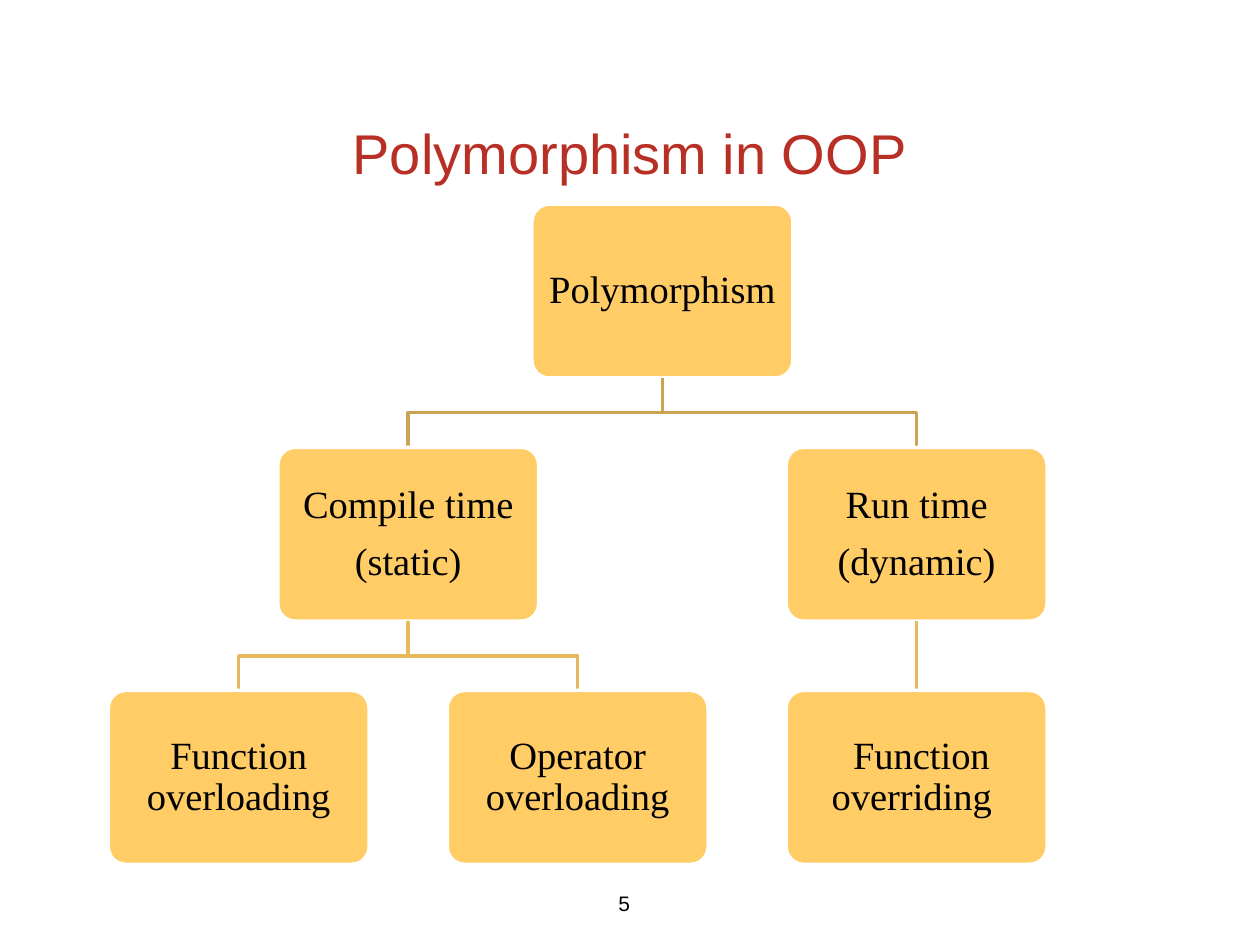
"""Build the slide with the polymorphism tree: one root, two kinds, three techniques."""
import pptx
import pptx.dml.color
import pptx.enum.shapes
import pptx.enum.text
import pptx.oxml.ns
import pptx.util

Inches, Pt = pptx.util.Inches, pptx.util.Pt
Align, Anchor = pptx.enum.text.PP_ALIGN, pptx.enum.text.MSO_ANCHOR

COLORS = {"title": "B82F25", "box": "FFCC66", "border": "FFFFFF", "text": "000000",
          "upper": "CCA352", "lower": "E7B95D"}
LEFT, TOP = 0.86, 1.62
BOX_WIDTH, BOX_HEIGHT = 2.07, 1.38
COLUMN_STEP, ROW_STEP = 2.69, 1.93
GAP = ROW_STEP - BOX_HEIGHT


def rgb(name):
    return pptx.dml.color.RGBColor.from_string(COLORS[name])


def write(shape, lines, font, color, frame_format, paragraph_format):
    frame = shape.text_frame
    frame.text = "\n".join(lines)
    for key, value in frame_format.items():
        setattr(frame, key, value)
    for paragraph in frame.paragraphs:
        for key, value in paragraph_format.items():
            setattr(paragraph, key, value)
        for run in paragraph.runs:
            for key, value in font.items():
                setattr(run.font, key, value)
            run.font.color.rgb = rgb(color)


deck = pptx.Presentation()
deck.slide_width, deck.slide_height = Inches(10), Inches(7.5)
slide = deck.slides.add_slide(deck.slide_layouts[5])
shapes = slide.shapes

centred = {"alignment": Align.CENTER}
heading = shapes.title
heading_place = {"left": 0.75, "top": 0.83, "width": 8.5, "height": 0.75}
for side, length in heading_place.items():
    setattr(heading, side, Inches(length))
write(heading, ["Polymorphism in OOP"], {"size": Pt(32), "name": "Arial"}, "title",
      {"vertical_anchor": Anchor.MIDDLE, "word_wrap": True}, centred)

tree = {
    "root": (1.25, 0, None, ["Polymorphism"]),
    "static": (0.5, 1, "root", ["Compile time", "(static)"]),
    "dynamic": (2, 1, "root", ["Run time", "(dynamic)"]),
    "function": (0, 2, "static", ["Function overloading"]),
    "operator": (1, 2, "static", ["Operator overloading"]),
    "overriding": (2, 2, "dynamic", [" Function overriding "]),
}
box_frame = {"vertical_anchor": Anchor.MIDDLE, "word_wrap": True,
             "margin_left": Inches(0.08), "margin_right": Inches(0.08),
             "margin_top": Inches(0.09), "margin_bottom": Inches(0.09)}
box_paragraph = {**centred, "line_spacing": 0.9, "space_after": Pt(8.7)}

for column, row, parent, lines in tree.values():
    left = LEFT + column * COLUMN_STEP
    top = TOP + row * ROW_STEP
    if parent:
        child_x = Inches(left + BOX_WIDTH / 2)
        parent_x = Inches(LEFT + tree[parent][0] * COLUMN_STEP + BOX_WIDTH / 2)
        start_y, middle_y, end_y = Inches(top - GAP), Inches(top - GAP / 2), Inches(top)
        if child_x == parent_x:
            branch = shapes.add_connector(pptx.enum.shapes.MSO_CONNECTOR.STRAIGHT,
                                          parent_x, start_y, child_x, end_y)
            branch._element.spPr.append(
                branch._element.makeelement(pptx.oxml.ns.qn("a:effectLst"), {}))
        else:
            outline = shapes.build_freeform(parent_x, start_y)
            outline.add_line_segments([(parent_x, middle_y), (child_x, middle_y),
                                       (child_x, end_y)], close=False)
            branch = outline.convert_to_shape()
            branch.fill.background()
            branch.shadow.inherit = False
        branch.line.color.rgb = rgb("upper" if row == 1 else "lower")
        branch.line.width = Pt(2)
    box = shapes.add_shape(pptx.enum.shapes.MSO_SHAPE.ROUNDED_RECTANGLE,
                           Inches(left), Inches(top), Inches(BOX_WIDTH), Inches(BOX_HEIGHT))
    box.adjustments[0] = 0.1
    box.shadow.inherit = False
    box.fill.solid()
    box.fill.fore_color.rgb = rgb("box")
    box.line.color.rgb = rgb("border")
    box.line.width = Pt(2)
    write(box, lines, {"size": Pt(22), "name": "Times New Roman"}, "text",
          box_frame, box_paragraph)

page_number = shapes.add_textbox(Inches(4.58), Inches(7), Inches(0.75), Inches(0.33))
write(page_number, ["5"], {"size": Pt(12), "name": "Arial"}, "text",
      {"vertical_anchor": Anchor.MIDDLE, "word_wrap": False}, centred)

deck.save("out.pptx")
